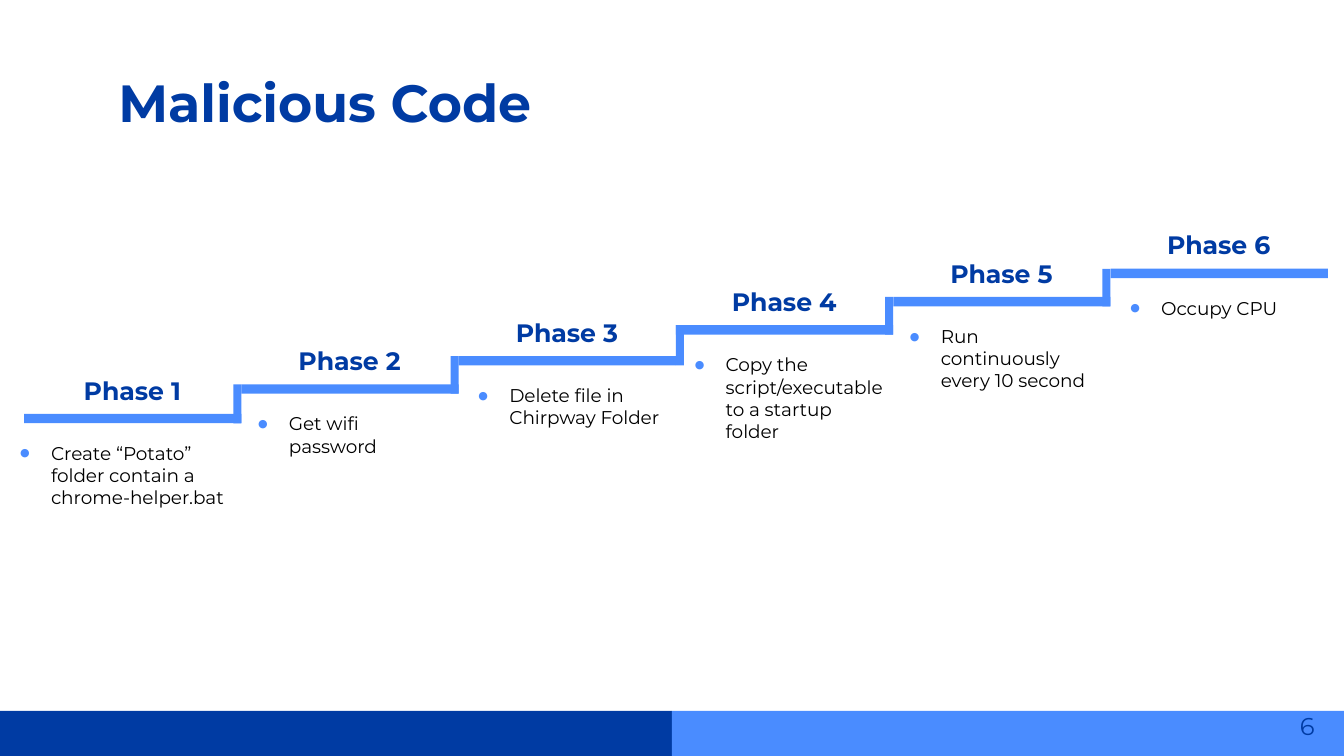
from pptx import Presentation
from pptx.dml.color import RGBColor
from pptx.enum.shapes import MSO_SHAPE
from pptx.enum.text import MSO_ANCHOR, PP_ALIGN
from pptx.oxml.ns import qn
from pptx.util import Inches, Pt
from lxml import etree

RECTANGLE = MSO_SHAPE.RECTANGLE
TOP = MSO_ANCHOR.TOP
LEFT, CENTER, RIGHT = PP_ALIGN.LEFT, PP_ALIGN.CENTER, PP_ALIGN.RIGHT

NAVY = RGBColor(0x00, 0x3B, 0xA3)
BLUE = RGBColor(0x4A, 0x8C, 0xFF)
BLACK = RGBColor(0x00, 0x00, 0x00)
FONT = "Montserrat"

PAGE_WIDTH = 10
PAGE_HEIGHT = PAGE_WIDTH * 9 / 16
STAIR_LEFT = 0.18
STAIR_RIGHT = 9.88
TREAD_HEIGHT = 0.07
RISER_WIDTH = 0.06

# Tread top, riser shift, description left and width, description
PHASES = [
    (3.08, 0, 0, 1.79, "Create “Potato” folder contain a chrome-helper.bat"),
    (2.86, 0, 1.77, 1.62, "Get wifi password"),
    (2.65, 0, 3.41, 1.62, "Delete file in Chirpway Folder"),
    (2.42, RISER_WIDTH, 5.02, 1.64, "Copy the script/executable to a startup folder"),
    (2.21, 0, 6.62, 1.62, "Run continuously every 10 second"),
    (2.00, 0, 8.26, 1.62, "Occupy CPU"),
]
STEP_WIDTH = (STAIR_RIGHT - STAIR_LEFT) / len(PHASES)


def add_bar(page, left, top, width, height, color):
    bar = page.shapes.add_shape(
        RECTANGLE, Inches(left), Inches(top), Inches(width), Inches(height))
    bar.shadow.inherit = False
    bar.fill.solid()
    bar.fill.fore_color.rgb = color
    bar.line.fill.background()


def write_text(box, text, size, color, inset, align=LEFT, bold=False):
    """Fill a box with one formatted paragraph and return that paragraph."""
    frame = box.text_frame
    frame.word_wrap = True
    frame.vertical_anchor = TOP
    frame.margin_left = frame.margin_right = Inches(inset)
    frame.margin_top = frame.margin_bottom = Inches(inset)
    para = frame.paragraphs[0]
    para.alignment = align
    span = para.add_run()
    span.text = text
    span.font.name = FONT
    span.font.size = Pt(size)
    span.font.bold = bold
    span.font.color.rgb = color
    return para


def add_text(page, left, top, width, height, *style, **options):
    box = page.shapes.add_textbox(
        Inches(left), Inches(top), Inches(width), Inches(height))
    return write_text(box, *style, **options)


def add_bullet(para):
    properties = para._p.get_or_add_pPr()
    properties.set("marL", str(Inches(0.32)))
    properties.set("indent", str(Inches(-0.23)))
    color = etree.SubElement(properties, qn("a:buClr"))
    etree.SubElement(color, qn("a:srgbClr"), val=str(BLUE))
    etree.SubElement(properties, qn("a:buSzPct"), val="60000")
    etree.SubElement(properties, qn("a:buFont"), typeface=FONT)
    etree.SubElement(properties, qn("a:buChar"), char="●")


def add_title(page, text):
    title = page.shapes.title
    title.left, title.top = Inches(0.78), Inches(0.42)
    title.width, title.height = Inches(8.43), Inches(1.02)
    write_text(title, text, 28, NAVY, 0.1, bold=True)


def add_phase(page, index, top, riser_shift, text_left, text_width, text):
    """Draw one stair step with its label above and description below."""
    left = STAIR_LEFT + index * STEP_WIDTH
    add_bar(page, left, top, STEP_WIDTH, TREAD_HEIGHT, BLUE)
    if index:
        previous_top = PHASES[index - 1][0]
        add_bar(page, left - RISER_WIDTH + riser_shift, top, RISER_WIDTH,
                previous_top + TREAD_HEIGHT - top, BLUE)
    label = add_text(page, left + 0.32, top - 0.35, 0.97, 0.29,
                     f"Phase {index + 1}", 13.5, NAVY, 0.06,
                     align=CENTER, bold=True)
    label.space_after = Pt(10.2)
    description = add_text(page, text_left, top + 0.15, text_width, 1,
                           text, 9.9, BLACK, 0.06)
    add_bullet(description)


def add_footer(page, number):
    top = 5.29
    half = PAGE_WIDTH / 2
    for left, color in ((0, NAVY), (half, BLUE)):
        add_bar(page, left, top, half, PAGE_HEIGHT - top, color)
    add_text(page, 9.28, 5.19, 0.6, 0.43, number, 13, NAVY, 0.1, align=RIGHT)


def main():
    deck = Presentation()
    deck.slide_width = Inches(PAGE_WIDTH)
    deck.slide_height = Inches(PAGE_HEIGHT)
    page = deck.slides.add_slide(deck.slide_layouts[5])
    add_title(page, "Malicious Code")
    for index, phase in enumerate(PHASES):
        add_phase(page, index, *phase)
    add_footer(page, "6")
    deck.save("out.pptx")


if __name__ == "__main__":
    main()
